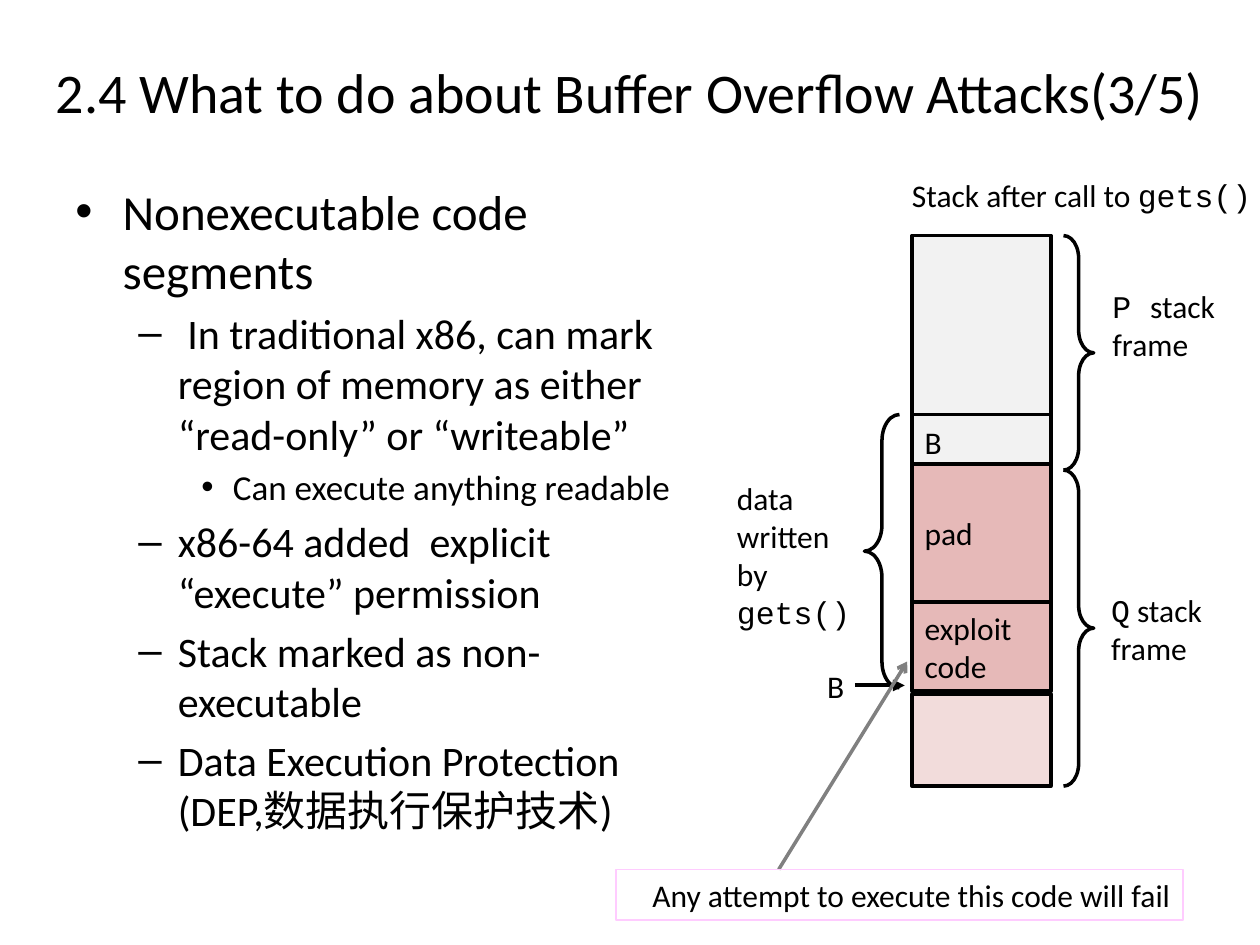
from lxml import etree
from pptx import Presentation
from pptx.dml.color import RGBColor
from pptx.enum.shapes import MSO_CONNECTOR, MSO_SHAPE
from pptx.enum.text import MSO_ANCHOR, PP_ALIGN
from pptx.oxml.ns import qn
from pptx.util import Pt

SANS, MONO = "Calibri", "Courier New"
BLACK, GRAY, PINK = "000000", "808080", "FFCCFF"
TOP, MID = MSO_ANCHOR.TOP, MSO_ANCHOR.MIDDLE
LEFT, RIGHT, CENTER = PP_ALIGN.LEFT, PP_ALIGN.RIGHT, PP_ALIGN.CENTER


def color(code):
    return RGBColor.from_string(code)


class Deck:
    def __init__(self, wide, high):
        self.file = Presentation()
        self.file.slide_width, self.file.slide_height = Pt(wide), Pt(high)
        self.slide = self.file.slides.add_slide(self.file.slide_layouts[6])

    def style(self, para, size, align=LEFT):
        para.alignment = align
        para.font.size = Pt(size)
        para.font.color.rgb = color(BLACK)
        fonts = {run.font.name for run in para.runs}
        if fonts == {None}:
            para.font.name = SANS

    def label(self, shape, paras, size=18, align=LEFT, anchor=MID, wrap=True):
        """Each paragraph is a string, or a list of (text, font) runs."""
        frame = shape.text_frame
        frame.word_wrap = wrap
        frame.vertical_anchor = anchor
        for i, item in enumerate(paras):
            para = frame.add_paragraph() if i else frame.paragraphs[0]
            runs = [(item, None)] if isinstance(item, str) else item
            for text, font in runs:
                run = para.add_run()
                run.text = text
                if font:
                    run.font.name = font
            self.style(para, size, align)

    def text(self, box, *paras, **look):
        shape = self.slide.shapes.add_textbox(*map(Pt, box))
        self.label(shape, paras, **look)
        return shape

    def bullets(self, box, items, levels):
        frame = self.slide.shapes.add_textbox(*map(Pt, box)).text_frame
        frame.word_wrap = True
        for i, (level, text) in enumerate(items):
            mark, size, margin, hang = levels[level]
            para = frame.add_paragraph() if i else frame.paragraphs[0]
            para.add_run().text = text
            para.level = level
            if i:
                para.space_before = Pt(size * 0.2)
            props = para._p.get_or_add_pPr()
            props.set("marL", str(Pt(margin)))
            props.set("indent", str(-Pt(hang)))
            font = etree.SubElement(props, qn("a:buFont"))
            font.set("typeface", "Arial")
            etree.SubElement(props, qn("a:buChar")).set("char", mark)
            self.style(para, size)

    def shape(self, kind, box, fill=None, line=BLACK, width=2.25):
        shape = self.slide.shapes.add_shape(kind, *map(Pt, box))
        shape.shadow.inherit = False
        if fill:
            shape.fill.solid()
            shape.fill.fore_color.rgb = color(fill)
        else:
            shape.fill.background()
        shape.line.color.rgb = color(line)
        shape.line.width = Pt(width)
        return shape

    def rect(self, box, *paras, fill=None, line=BLACK, width=2.25, **look):
        shape = self.shape(MSO_SHAPE.RECTANGLE, box, fill, line, width)
        if paras:
            self.label(shape, paras, **look)

    def brace(self, box, turn=0):
        shape = self.shape(MSO_SHAPE.LEFT_BRACE, box, width=2)
        shape.adjustments[0] = 0.75
        shape.rotation = turn

    def arrow(self, start, end, line, width, head, source=None):
        link = self.slide.shapes.add_connector(
            MSO_CONNECTOR.STRAIGHT, *map(Pt, start + end))
        if source:
            link.begin_connect(source, 3)
        link.line.color.rgb = color(line)
        link.line.width = Pt(width)
        ln = link.line._get_or_add_ln()
        etree.SubElement(ln, qn("a:tailEnd")).set("type", head)
        etree.SubElement(link._element.spPr, qn("a:effectLst"))


def main():
    deck = Deck(720, 540)

    # Title and outline
    deck.text((0, 21.6, 720, 61.2),
              "2.4 What to do about Buffer Overflow Attacks(3/5)",
              size=32, align=CENTER)
    levels = [("•", 28, 27, 27), ("–", 24, 58.5, 22.5), ("•", 20, 90, 18)]
    deck.bullets((36, 100, 364, 412), [
        (0, "Nonexecutable code segments"),
        (1, " In traditional x86, can mark region of memory as either "
            "“read-only” or “writeable”"),
        (2, "Can execute anything readable"),
        (1, "x86-64 added  explicit “execute” permission"),
        (1, "Stack marked as non-executable"),
        (1, "Data Execution Protection (DEP,数据执行保护技术)"),
    ], levels)

    # Stack cells, from top to bottom
    deck.text((514, 97.2, 222.5, 29),
              [("Stack after call to ", SANS), ("gets()", MONO)], anchor=TOP)
    cells = [
        (134.6, 102.3, "F2F2F2", []),
        (236.9, 31.7, "F2F2F2", ["B"]),
        (265, 78.8, "E6B9B8", ["pad"]),
        (344, 51, "E6B9B8", ["exploit", "code"]),
        (396.7, 52.5, "F2DCDB", []),
    ]
    for top, high, fill, words in cells:
        deck.rect((521.3, top, 79.2, high), *words, fill=fill)

    # Braces and their labels
    deck.brace((607.7, 134.6, 17.3, 134), 180)
    deck.brace((607.7, 268.6, 17.3, 180.6), 180)
    deck.brace((494, 236.9, 20, 156.2))
    deck.text((628.6, 160, 88, 51),
              [("P ", MONO), ("stack", SANS)], "frame")
    deck.text((627.8, 334, 108.7, 51),
              [("Q", MONO), (" stack frame", SANS)])
    deck.text((414, 270, 82.8, 94.3),
              "data written", [("by ", SANS), ("gets()", MONO)])

    # Return address and note on the exploit code
    label = deck.text((465.5, 377.2, 23, 29), "B", wrap=False)
    deck.arrow((488.5, 391.7), (517, 391.7), BLACK, 2.25, "triangle", label)
    deck.arrow((445, 496.8), (518.4, 378), GRAY, 2, "arrow")
    deck.rect((352, 496.8, 324, 29),
              "Any attempt to execute this code will fail",
              line=PINK, width=0.75, align=RIGHT, anchor=TOP)

    deck.file.save("out.pptx")


if __name__ == "__main__":
    main()
